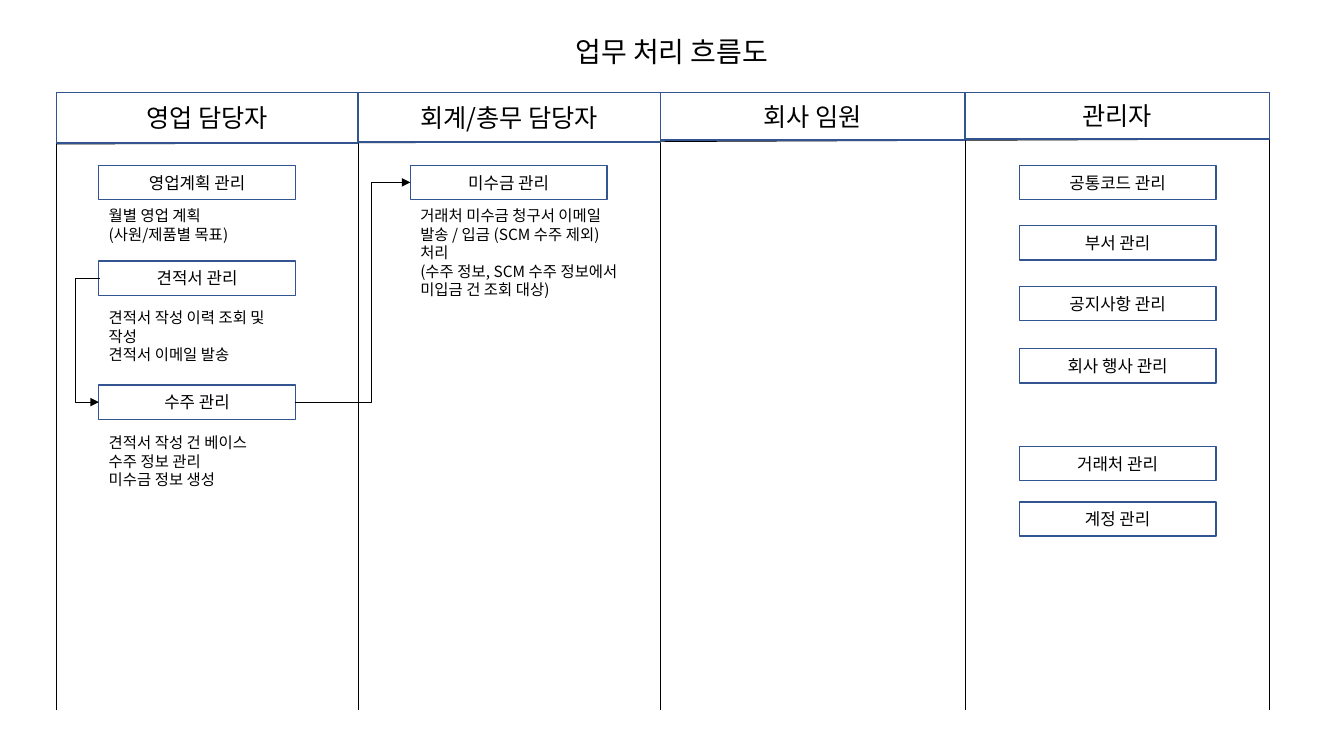
import pptx
import pptx.util
import pptx.dml.color
import pptx.enum.shapes
import pptx.enum.text
import pptx.oxml.ns
import lxml.etree

Inches = pptx.util.Inches
Pt = pptx.util.Pt
ALIGN = pptx.enum.text.PP_ALIGN
ANCHOR = pptx.enum.text.MSO_ANCHOR
CONNECTOR = pptx.enum.shapes.MSO_CONNECTOR
qn = pptx.oxml.ns.qn

BLACK = pptx.dml.color.RGBColor(0x00, 0x00, 0x00)
BLUE = pptx.dml.color.RGBColor(0x32, 0x54, 0x91)
FONT = "Noto Sans CJK KR"

TITLE = "업무 처리 흐름도"
LANE_TOP, LANE_BOTTOM = 0.94, 7.04
LANE_EDGES = [0.56, 3.55, 6.55, 9.57, 12.59]
HEADER_TOP = 0.92
STEP_WIDTH, STEP_HEIGHT = 1.95, 0.34

LANES = [
    {"header": "영업 담당자", "header_height": 0.5, "step_left": 0.98,
     "steps": [("영업계획 관리", 1.64), ("견적서 관리", 2.59), ("수주 관리", 3.82)],
     "notes": [
         (2.0, 2.2, 0.47, ["월별 영업 계획", "(사원/제품별 목표)"]),
         (3.01, 1.95, 0.66, ["견적서 작성 이력 조회 및 작성", "견적서 이메일 발송"]),
         (4.25, 1.95, 0.66, ["견적서 작성 건 베이스", "수주 정보 관리", "미수금 정보 생성"]),
     ]},
    {"header": "회계/총무 담당자", "header_height": 0.49, "step_left": 4.07,
     "steps": [("미수금 관리", 1.64)],
     "notes": [
         (2.0, 2.2, 1.03, ["거래처 미수금 청구서 이메일 발송 / 입금 (SCM 수주 제외) 처리",
                           "(수주 정보, SCM 수주 정보에서 미입금 건 조회 대상)"]),
     ]},
    {"header": "회사 임원", "header_height": 0.47, "step_left": 7.09,
     "steps": [], "notes": []},
    {"header": "관리자", "header_height": 0.46, "step_left": 10.11,
     "steps": [("공통코드 관리", 1.64), ("부서 관리", 2.24), ("공지사항 관리", 2.84),
               ("회사 행사 관리", 3.46), ("거래처 관리", 4.43), ("계정 관리", 4.98)],
     "notes": []},
]

FLOWS = [
    ((0.99, 2.76), (0.98, 3.99), 0.74),
    ((2.93, 3.99), (4.07, 1.81), 3.68),
]


def write_text(box, paragraphs, size, align=ALIGN.LEFT, anchor=ANCHOR.TOP, grow=False):
    frame = box.text_frame
    frame.word_wrap = True
    frame.vertical_anchor = anchor
    if grow:
        frame.auto_size = pptx.enum.text.MSO_AUTO_SIZE.SHAPE_TO_FIT_TEXT
    for index, text in enumerate(paragraphs):
        para = frame.paragraphs[0] if index == 0 else frame.add_paragraph()
        para.alignment = align
        span = para.add_run()
        span.text = text
        span.font.size = Pt(size)
        span.font.name = FONT
        span.font.color.rgb = BLACK
        east_asian = lxml.etree.SubElement(span.font._element, qn("a:ea"))
        east_asian.set("typeface", FONT)


def add_note(page, left, top, width, height, paragraphs, **text_format):
    box = page.shapes.add_textbox(Inches(left), Inches(top), Inches(width), Inches(height))
    write_text(box, paragraphs, grow=True, **text_format)


def add_frame(page, left, top, width, height, label, size):
    box = page.shapes.add_shape(pptx.enum.shapes.MSO_SHAPE.RECTANGLE,
                                Inches(left), Inches(top), Inches(width), Inches(height))
    box.shadow.inherit = False
    box.fill.background()
    box.line.color.rgb = BLUE
    box.line.width = Pt(1)
    write_text(box, [label], size, align=ALIGN.CENTER, anchor=ANCHOR.MIDDLE)


def add_line(page, start, end, kind=CONNECTOR.STRAIGHT):
    line = page.shapes.add_connector(kind, *map(Inches, start + end))
    line.line.color.rgb = BLACK
    line.line.width = Pt(0.5)
    lxml.etree.SubElement(line._element.spPr, qn("a:effectLst"))
    return line


def add_flow(page, start, end, bend):
    flow = add_line(page, start, end, CONNECTOR.ELBOW)
    ratio = (bend - start[0]) / (end[0] - start[0])
    guides = flow._element.spPr.find(qn("a:prstGeom")).find(qn("a:avLst"))
    guide = lxml.etree.SubElement(guides, qn("a:gd"))
    guide.set("name", "adj1")
    guide.set("fmla", f"val {round(ratio * 100000)}")
    arrow = lxml.etree.SubElement(flow.line._get_or_add_ln(), qn("a:tailEnd"))
    arrow.set("type", "triangle")


deck = pptx.Presentation()
deck.slide_width = Inches(13.33)
deck.slide_height = Inches(7.5)
page = deck.slides.add_slide(deck.slide_layouts[6])

add_note(page, 0, 0.29, 13.33, 0.44, [TITLE], size=20, align=ALIGN.CENTER)

add_line(page, (LANE_EDGES[0], 1.43), (LANE_EDGES[-1], 1.38))
for edge in LANE_EDGES:
    add_line(page, (edge, LANE_TOP), (edge, LANE_BOTTOM))

for lane, left, right in zip(LANES, LANE_EDGES, LANE_EDGES[1:]):
    add_frame(page, left, HEADER_TOP, right - left, lane["header_height"], lane["header"], 18)
    for label, top in lane["steps"]:
        add_frame(page, lane["step_left"], top, STEP_WIDTH, STEP_HEIGHT, label, 12)
    for top, width, height, paragraphs in lane["notes"]:
        add_note(page, lane["step_left"], top, width, height, paragraphs, size=11)

for start, end, bend in FLOWS:
    add_flow(page, start, end, bend)

deck.save("out.pptx")
